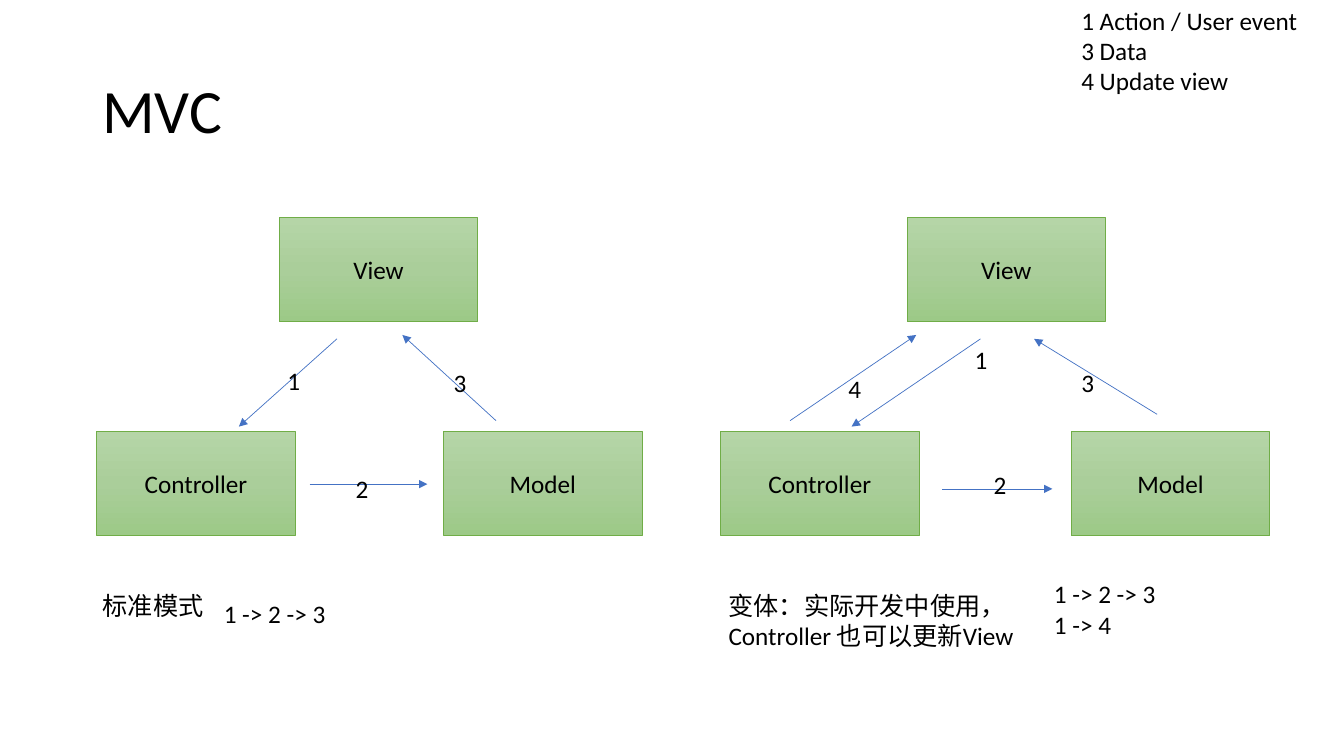
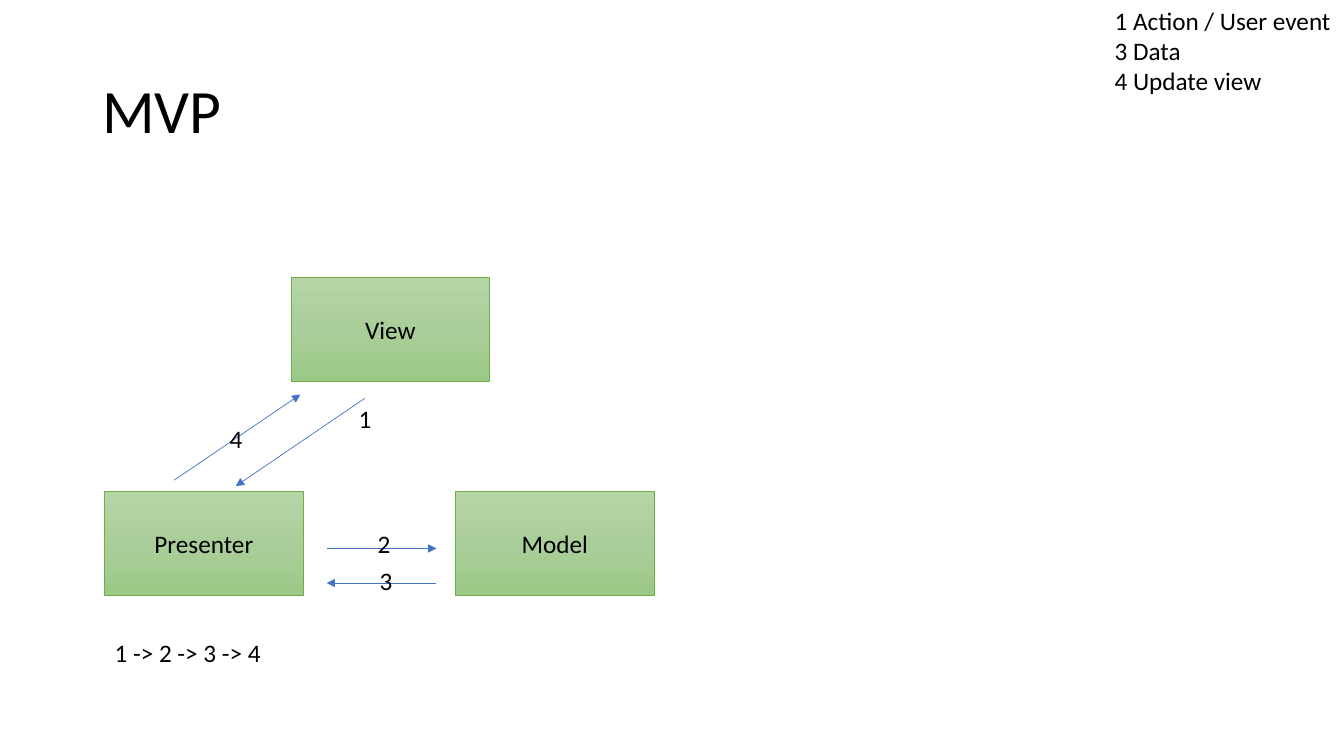
from copy import deepcopy

from pptx import Presentation, util as u
from pptx.dml import color
from pptx.enum import shapes, text
from pptx.oxml import ns, parse_xml

FONT, BLACK, ARROW, BORDER = "Calibri", "000000", "4472C4", "70AD47"
NODE_FILL = ((0, "B5D5A7"), (0.5, "AACE9A"), (1, "9CC987"))
NODE_W, NODE_H, ROW_STEP = 5, 2.62, 5.39
LINE_H, LABEL_W = 1.02, 0.82
LEGEND = ["1 Action / User event", "3 Data", "4 Update view"]


def rgb(value):
    """Return the colour of a hex string."""
    return color.RGBColor.from_string(value)


def set_text(tf, lines, size=18, align=None):
    """Write one paragraph for each line."""
    for i, line in enumerate(lines):
        p = tf.add_paragraph() if i else tf.paragraphs[0]
        p.text = line
        p.alignment = align
        p.font.name, p.font.size = FONT, u.Pt(size)
        p.font.color.rgb = rgb(BLACK)


def add_text(s, box, lines, size=18, wrap=False):
    """Add a text box and return its frame."""
    tf = s.shapes.add_textbox(*map(u.Cm, box)).text_frame
    tf.word_wrap = wrap
    set_text(tf, lines, size)
    return tf


def add_node(s, left, top, name):
    """Add a green gradient box with a centred name."""
    sp = s.shapes.add_shape(shapes.MSO_SHAPE.RECTANGLE,
                            *map(u.Cm, (left, top, NODE_W, NODE_H)))
    sp.shadow.inherit = False
    sp.fill.gradient()
    sp.fill.gradient_angle = 270
    first = sp.element.spPr.find(".//" + ns.qn("a:gs"))
    first.addnext(deepcopy(first))
    for stop, (position, value) in zip(sp.fill.gradient_stops, NODE_FILL):
        stop.position = position
        stop.color.rgb = rgb(value)
    sp.line.color.rgb = rgb(BORDER)
    sp.line.width = u.Pt(0.5)
    sp.text_frame.vertical_anchor = text.MSO_ANCHOR.MIDDLE
    set_text(sp.text_frame, [name], align=text.PP_ALIGN.CENTER)


def add_arrow(s, x1, y1, x2, y2):
    """Add a thin line with a triangle at its end."""
    cxn = s.shapes.add_connector(shapes.MSO_CONNECTOR.STRAIGHT,
                                 *map(u.Cm, (x1, y1, x2, y2)))
    cxn.line.color.rgb = rgb(ARROW)
    cxn.line.width = u.Pt(0.5)
    cxn.line._get_or_add_ln().append(
        parse_xml(f'<a:tailEnd {ns.nsdecls("a")} type="triangle"/>'))
    cxn.element.spPr.append(parse_xml(f'<a:effectLst {ns.nsdecls("a")}/>'))


def add_diagram(s, left, top, driver, view_x, model_x, steps, captions):
    """Place nodes, numbered arrows and captions relative to the corner."""
    for x, y, name in ((view_x, 0, "View"), (0, ROW_STEP, driver),
                       (model_x, ROW_STEP, "Model")):
        add_node(s, left + x, top + y, name)
    for number, (x1, y1, x2, y2), (x, y) in steps:
        add_arrow(s, left + x1, top + y1, left + x2, top + y2)
        add_text(s, (left + x, top + y, LABEL_W, LINE_H), [number])
    for x, y, width, lines, wrap in captions:
        add_text(s, (left + x, top + y, width, LINE_H), lines, wrap=wrap)


def add_slide(prs, title, legend_x):
    """Add a slide with its title and legend."""
    s = prs.slides.add_slide(prs.slide_layouts[6])
    tf = add_text(s, (2.33, 1.01, 29.21, 3.68), [title], 44, True)
    tf.vertical_anchor = text.MSO_ANCHOR.MIDDLE
    tf.paragraphs[0].line_spacing = 0.9
    add_text(s, (legend_x, 0, 6.02, 2.57), LEGEND)
    return s


STANDARD_STEPS = (
    ("1", (6.05, 3.05, 3.58, 5.26), (4.55, 3.58)),
    ("2", (5.36, 6.71, 8.33, 6.71), (6.27, 6.3)),
    ("3", (10.06, 5.11, 7.7, 2.95), (8.74, 3.63)),
)
SHARED_STEPS = (
    ("1", (6.55, 3.05, 3.3, 5.26), (6.15, 3.05)),
    ("2", (5.59, 6.83, 8.36, 6.83), (6.63, 6.2)),
)
UPDATE_ARROW = (1.75, 5.11, 4.93, 2.95)
VARIANT_STEPS = SHARED_STEPS + (
    ("3", (11, 4.95, 7.9, 3.05), (8.84, 3.63)),
    ("4", UPDATE_ARROW, (2.97, 3.78)),
)
MVP_STEPS = SHARED_STEPS + (
    ("3", (8.36, 7.7, 5.59, 7.7), (6.68, 7.14)),
    ("4", UPDATE_ARROW, (2.9, 3.56)),
)

prs = Presentation()
prs.slide_width, prs.slide_height = u.Cm(33.87), u.Cm(19.05)

s = add_slide(prs, "MVC", 27)
add_diagram(s, 2.44, 5.49, "Controller", 4.6, 8.74, STANDARD_STEPS, (
    (-0.1, 9.25, 3.07, ["标准模式"], False),
    (2.95, 9.47, 3.1, ["1 -> 2 -> 3"], False)))
add_diagram(s, 18.16, 5.49, "Controller", 4.7, 8.84, VARIANT_STEPS, (
    (-0.05, 9.25, 9.09, ["变体：实际开发中使用，Controller 也可以更新View"], True),
    (8.15, 8.97, 3.1, ["1 -> 2 -> 3", "1 -> 4"], False)))

s = add_slide(prs, "MVP", 27.84)
add_diagram(s, 2.64, 6.99, "Presenter", 4.7, 8.84, MVP_STEPS, (
    (0, 8.94, 4.24, ["1 -> 2 -> 3 -> 4"], False),))

prs.save("out.pptx")
